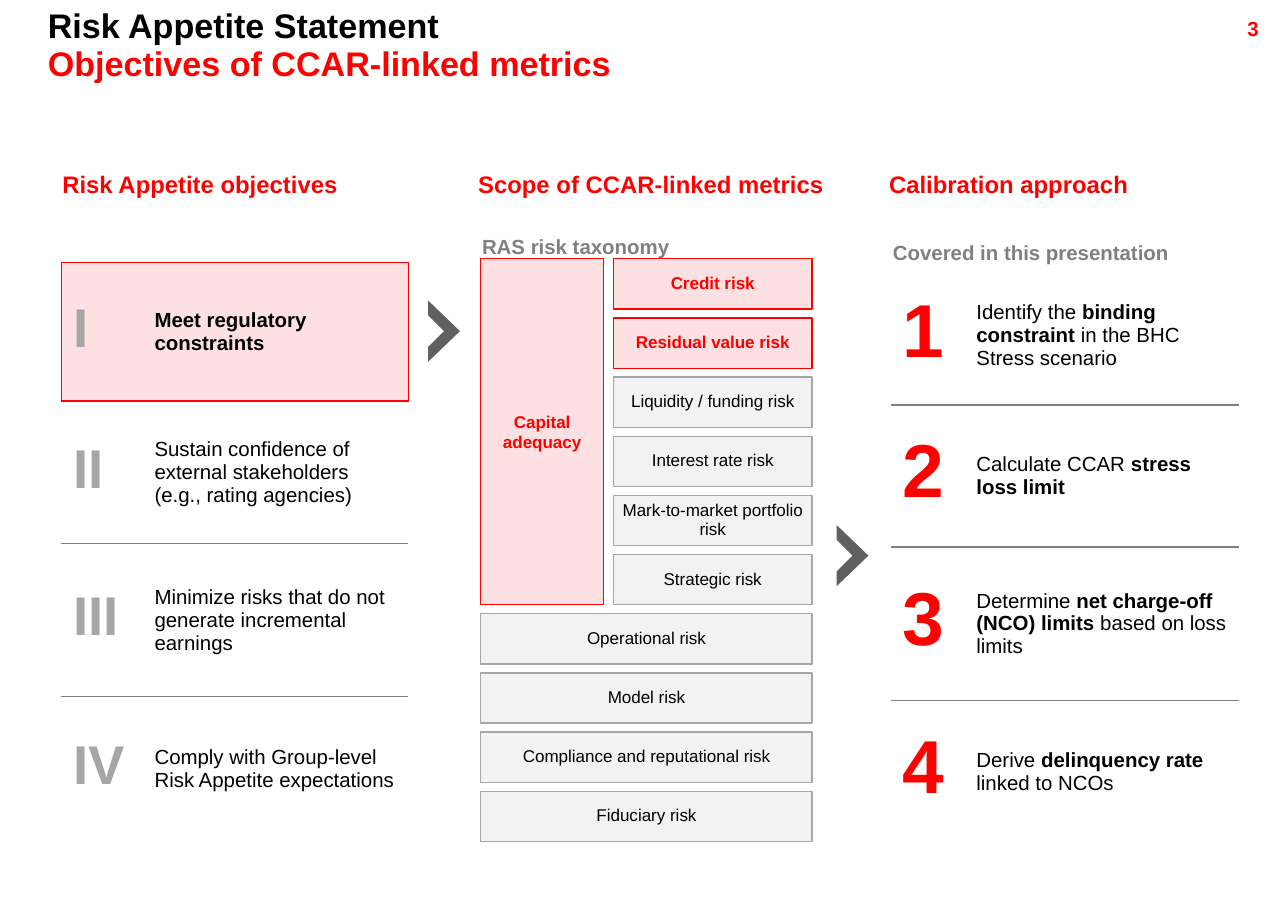
from lxml.etree import SubElement
from pptx import Presentation
from pptx.dml.color import RGBColor
from pptx.enum.shapes import MSO_SHAPE
from pptx.enum.text import MSO_ANCHOR, MSO_AUTO_SIZE, PP_ALIGN
from pptx.oxml.ns import qn
from pptx.util import Inches, Pt

COLORS = {"red": "FF0000", "black": "000000", "grey": "808080", "numeral": "A6A6A6",
          "pink": "FCE0E2", "pale": "F2F2F2", "arrow": "606060"}
WIDTH, HEIGHT = Inches(10.5), Inches(7.5)
COL, ROW = WIDTH // 105, HEIGHT // 75
ROW_HEIGHTS = [11.3, 11.6, 12.5, 11.7]

OBJECTIVES = [
    ("I", [("Meet regulatory constraints", True)]),
    ("II", [("Sustain confidence of external stakeholders (e.g., rating agencies)", False)]),
    ("III", [("Minimize risks that do not generate incremental earnings", False)]),
    ("IV", [("Comply with Group-level Risk Appetite expectations", False)]),
]
STEPS = [
    ("1", [("Identify the ", False), ("binding constraint", True),
           (" in the BHC Stress scenario", False)]),
    ("2", [("Calculate CCAR ", False), ("stress loss limit", True)]),
    ("3", [("Determine ", False), ("net charge-off (NCO) limits ", True),
           ("based on loss limits", False)]),
    ("4", [("Derive ", False), ("delinquency rate ", True), ("linked to NCOs", False)]),
]
CAPITAL_RISKS = ["Credit risk", "Residual value risk", "Liquidity / funding risk",
                 "Interest rate risk", "Mark-to-market portfolio risk", "Strategic risk"]
OTHER_RISKS = ["Operational risk", "Model risk", "Compliance and reputational risk",
               "Fiduciary risk"]


def rgb(name):
    """Return the named colour."""
    return RGBColor.from_string(COLORS[name])


def place(x, y, w, h):
    """Turn grid columns and rows into slide lengths."""
    return int(x * COL), int(y * ROW), int(w * COL), int(h * ROW)


def apply(obj, values):
    """Set each attribute in a dict of format values."""
    for name, value in values.items():
        setattr(obj, name, value)


def write(p, runs, size, color, spacing=1.0, align=PP_ALIGN.LEFT):
    """Fill a paragraph with (text, bold) runs."""
    apply(p, {"alignment": align, "line_spacing": spacing, "space_before": Pt(0)})
    for text, bold in runs:
        r = p.add_run()
        r.text = text
        apply(r.font, {"name": "Arial", "size": Pt(size), "bold": bold})
        r.font.color.rgb = rgb(color)


def set_margins(tf, x, y):
    """Give a text frame equal side and equal top and bottom margins."""
    apply(tf, {"margin_left": Inches(x), "margin_right": Inches(x),
               "margin_top": Inches(y), "margin_bottom": Inches(y), "word_wrap": True})


def add_title(s, box, lines):
    """Place the two-tone title in the title placeholder."""
    sp = s.shapes.title
    apply(sp, dict(zip(("left", "top", "width", "height"), place(*box))))
    tf = sp.text_frame
    set_margins(tf, 0.1, 0.05)
    apply(tf, {"vertical_anchor": MSO_ANCHOR.TOP, "auto_size": MSO_AUTO_SIZE.NONE})
    for i, (text, color) in enumerate(lines):
        p = tf.add_paragraph() if i else tf.paragraphs[0]
        write(p, [(text, True)], 20, color, 0.92)


def add_label(s, box, text, size, color, margins, spacing=1.0, align=PP_ALIGN.LEFT):
    """Add a bold one-line text box."""
    tf = s.shapes.add_textbox(*place(*box)).text_frame
    set_margins(tf, *margins)
    write(tf.paragraphs[0], [(text, True)], size, color, spacing, align)


def add_borders(cell, sides):
    """Draw the coloured sides of a cell and clear the others."""
    tcPr = cell._tc.get_or_add_tcPr()
    for i, side in enumerate("LRTB"):
        ln = SubElement(tcPr, qn(f"a:ln{side}"), w=str(Pt(1)))
        tcPr.insert(i, ln)
        if sides.get(side):
            fill = SubElement(ln, qn("a:solidFill"))
            SubElement(fill, qn("a:srgbClr"), val=COLORS[sides[side]])
        else:
            SubElement(ln, qn("a:noFill"))


def add_numbered_table(s, box, columns, rows, size, color, rules, boxed=None):
    """Add a table of large numerals and texts, ruled between rows."""
    table = s.shapes.add_table(len(rows), 2, *place(*box)).table
    apply(table, {"first_row": False, "horz_banding": False})
    for column, width in zip(table.columns, columns):
        column.width = int(width * COL)
    for i, (numeral, runs) in enumerate(rows):
        table.rows[i].height = int(ROW_HEIGHTS[i] * ROW)
        side = "red" if i == boxed else None
        for j, edge in enumerate("LR"):
            cell = table.cell(i, j)
            cell.vertical_anchor = MSO_ANCHOR.MIDDLE
            if side:
                cell.fill.solid()
                cell.fill.fore_color.rgb = rgb("pink")
            else:
                cell.fill.background()
            add_borders(cell, {edge: side, "T": rules[i], "B": rules[i + 1]})
        write(table.cell(i, 0).text_frame.paragraphs[0], [(numeral, True)], size, color, 0.86)
        write(table.cell(i, 1).text_frame.paragraphs[0], runs, 12, "black")


def add_risk(s, box, text, in_scope, spacing=1.0):
    """Add one risk box, highlighted when in scope."""
    fill, line, color = ("pink", "red", "red") if in_scope else ("pale", "numeral", "black")
    sp = s.shapes.add_shape(MSO_SHAPE.RECTANGLE, *place(*box))
    sp.shadow.inherit = False
    sp.fill.solid()
    sp.fill.fore_color.rgb = rgb(fill)
    sp.line.color.rgb = rgb(line)
    sp.line.width = Pt(0.75)
    tf = sp.text_frame
    set_margins(tf, 0.04, 0.04)
    tf.vertical_anchor = MSO_ANCHOR.MIDDLE
    write(tf.paragraphs[0], [(text, in_scope)], 10, color, spacing, PP_ALIGN.CENTER)


def add_taxonomy(s, box):
    """Stack the risk boxes, with capital adequacy spanning the first ones."""
    x, y, w, h = box
    bar = 4.1
    pitch = (h - bar) / (len(CAPITAL_RISKS + OTHER_RISKS) - 1)
    span = pitch * (len(CAPITAL_RISKS) - 1) + bar
    add_risk(s, (x, y, w * 0.37, span), "Capital adequacy", True)
    for i, risk in enumerate(CAPITAL_RISKS + OTHER_RISKS):
        indent = w * 0.4 if i < len(CAPITAL_RISKS) else 0
        add_risk(s, (x + indent, y + i * pitch, w - indent, bar), risk, i < 2, 0.9)


def add_chevron(s, box):
    """Draw an arrow chevron that fills its box."""
    x, y, w, h = place(*box)
    shares = [(0, 0), (0, 0.24), (0.5, 0.5), (0, 0.76), (0, 1), (1, 0.5)]
    points = [(int(x + w * a), int(y + h * b)) for a, b in shares]
    builder = s.shapes.build_freeform(*points[0])
    builder.add_line_segments(points[1:], close=True)
    sp = builder.convert_to_shape()
    sp.shadow.inherit = False
    sp.fill.solid()
    sp.fill.fore_color.rgb = rgb("arrow")
    sp.line.fill.background()


def main():
    """Build the slide and save it."""
    prs = Presentation()
    apply(prs, {"slide_width": WIDTH, "slide_height": HEIGHT})
    s = prs.slides.add_slide(prs.slide_layouts[5])
    add_title(s, (2.9, 0.2, 90, 6.8), [("Risk Appetite Statement", "black"),
                                      ("Objectives of CCAR-linked metrics", "red")])
    add_label(s, (93.6, 1.1, 10, 2.4), "3", 12, "red", (0.1, 0.05), 0.86, PP_ALIGN.RIGHT)
    for x, heading in [(4.1, "Risk Appetite objectives"),
                       (38, "Scope of CCAR-linked metrics"),
                       (71.5, "Calibration approach")]:
        add_label(s, (x, 13.7, 31.6, 3), heading, 14, "red", (0.1, 0.05), 0.86)
    add_label(s, (39.3, 19.1, 27, 2.2), "RAS risk taxonomy", 12, "grey", (0, 0))
    add_label(s, (72.8, 19.6, 27, 2.2), "Covered in this presentation", 12, "grey", (0, 0))
    add_numbered_table(s, (5, 21.4, 28.3, 47.1), (6.6, 21.7), OBJECTIVES, 32, "numeral",
                       ["red", "red", "grey", "grey", None], boxed=0)
    add_taxonomy(s, (39.2, 21.1, 27, 47.5))
    add_numbered_table(s, (72.6, 21.7, 28.4, 47.1), (6, 22.4), STEPS, 44, "red",
                       [None, "grey", "grey", "grey", None])
    for x, y in [(34.9, 24.5), (68.2, 42.8)]:
        add_chevron(s, (x, y, 2.6, 5))
    prs.save("out.pptx")


if __name__ == "__main__":
    main()
